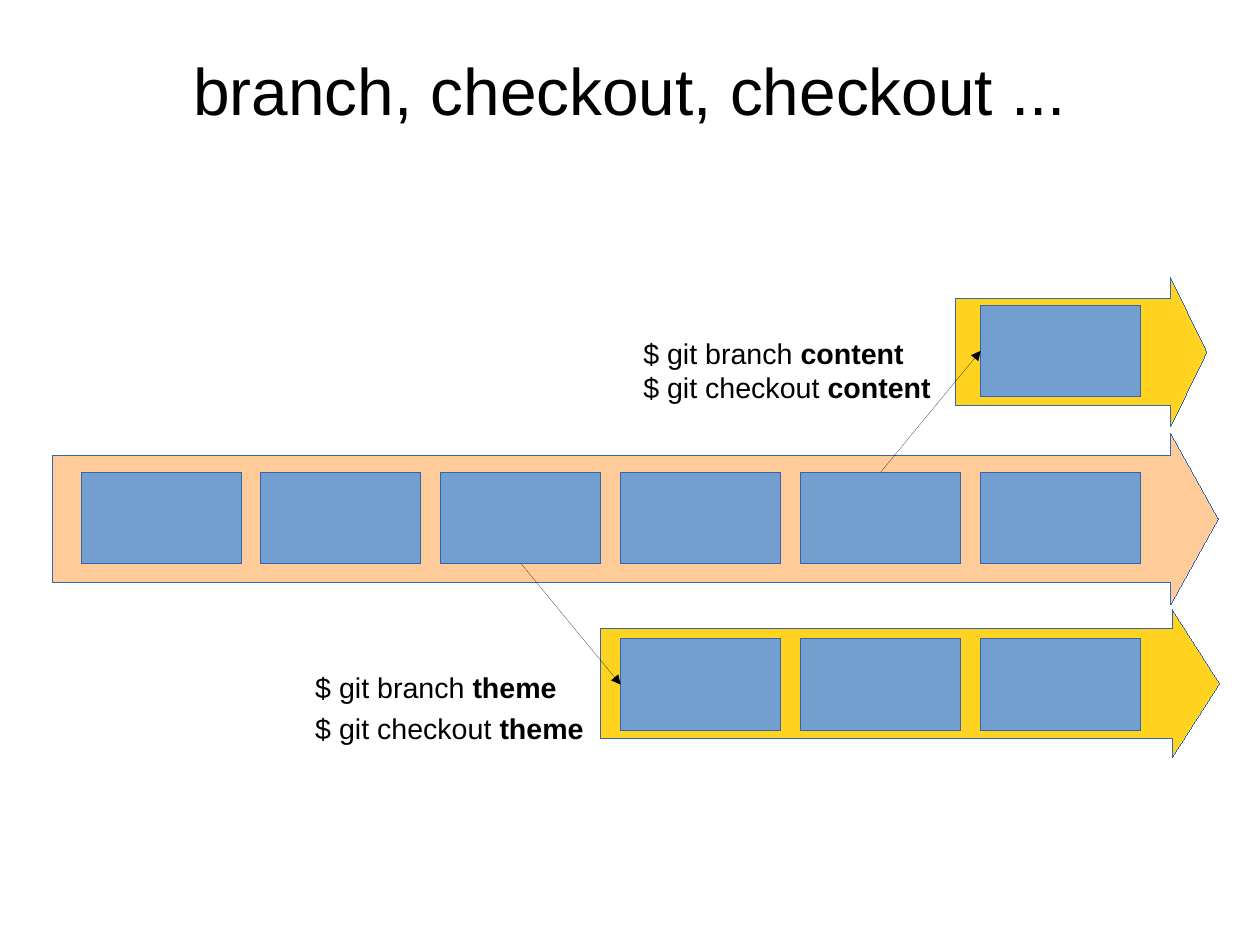
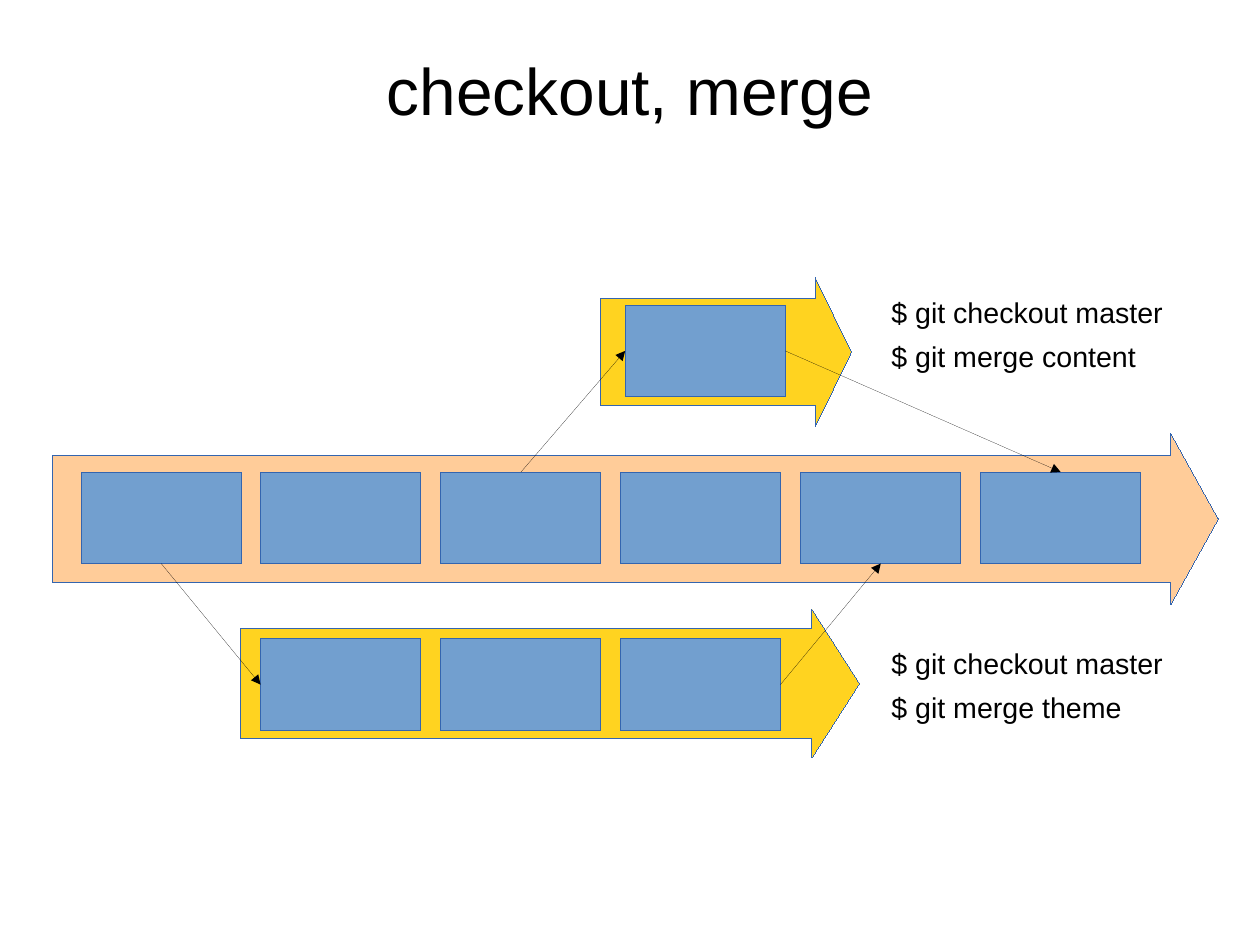
from dataclasses import dataclass

from lxml.etree import SubElement
from pptx import Presentation
from pptx.dml.color import RGBColor
from pptx.enum.shapes import MSO_CONNECTOR as Connector, MSO_SHAPE as Shape
from pptx.enum.text import MSO_ANCHOR as Anchor, PP_ALIGN as Align
from pptx.oxml.ns import qn
from pptx.util import Inches, Pt


@dataclass(frozen=True)
class Theme:
    font: str = "Arial"
    title_size: float = 41.4
    command_size: float = 18
    text: str = "000000"
    outline: str = "3465AF"
    commit: str = "729FCF"
    trunk: str = "FFCC99"
    branch: str = "FFD320"


@dataclass(frozen=True)
class Lane:
    """A branch arrow; inset_x and inset_y lead from its corner to the first commit."""
    top: float
    width: float
    height: float
    shaft: float
    head: float
    inset_x: float
    inset_y: float
    commits: int
    fill: str


THEME = Theme()
CM_PER_INCH = 2.54
SLIDE_W, SLIDE_H = 28 / CM_PER_INCH, 21 / CM_PER_INCH
TITLE_BOX = (0.55, 0.31, 9.92, 0.94)
COMMIT_W, COMMIT_H = 1.4, 0.8
FIRST_COMMIT, LAST_COMMIT, TRUNK_COMMITS = 0.71, 8.58, 6
COMMIT_PITCH = (LAST_COMMIT - FIRST_COMMIT) / (TRUNK_COMMITS - 1)
COMMAND_H = 0.38
TOP, LEFT, BOTTOM, RIGHT = range(4)  # connection sites of a rectangle

TRUNK_LEFT = 0.46
TRUNK = Lane(3.79, 10.2, 1.5, 0.744, 0.278, 0.25, 0.34, TRUNK_COMMITS, THEME.trunk)
THEME_LANE = Lane(5.33, 5.42, 1.3, 0.744, 0.32, 0.18, 0.26, 3, THEME.branch)
CONTENT_LANE = Lane(2.43, 2.2, 1.3, 0.723, 0.243, 0.22, 0.24, 1, THEME.branch)


def inches(*lengths):
    return [Inches(length) for length in lengths]


def draw_hairline(shape, color):
    """Colour the outline and write its zero width, which line.width leaves out."""
    shape.line.color.rgb = RGBColor.from_string(color)
    outline = shape._element.spPr.get_or_add_ln()
    outline.set("w", "0")
    return outline


def add_block(slide, preset, box, fill):
    block = slide.shapes.add_shape(preset, *inches(*box))
    block.shadow.inherit = False
    block.fill.solid()
    block.fill.fore_color.rgb = RGBColor.from_string(fill)
    draw_hairline(block, THEME.outline)
    return block


def add_lane(slide, lane, left):
    """Draw a branch arrow and return its commits, from left to right."""
    arrow = add_block(slide, Shape.RIGHT_ARROW,
                      (left, lane.top, lane.width, lane.height), lane.fill)
    arrow.adjustments[0] = lane.shaft
    arrow.adjustments[1] = lane.head
    return [add_block(slide, Shape.RECTANGLE,
                      (left + lane.inset_x + column * COMMIT_PITCH,
                       lane.top + lane.inset_y, COMMIT_W, COMMIT_H), THEME.commit)
            for column in range(lane.commits)]


def add_link(slide, source, source_site, target, target_site):
    link = slide.shapes.add_connector(Connector.STRAIGHT, 0, 0, 0, 0)
    link.begin_connect(source, source_site)
    link.end_connect(target, target_site)
    outline = draw_hairline(link, THEME.text)
    SubElement(outline, qn("a:tailEnd"), type="triangle")
    SubElement(link._element.spPr, qn("a:effectLst"))


def add_text(slide, box, runs, size, margins=(0.1, 0.05), anchor=Anchor.TOP,
             align=Align.LEFT):
    """Write one line of text; every run after the first is bold."""
    frame = slide.shapes.add_textbox(*inches(*box)).text_frame
    side, edge = inches(*margins)
    frame_format = {"word_wrap": True, "vertical_anchor": anchor,
                    "margin_left": side, "margin_right": side,
                    "margin_top": edge, "margin_bottom": edge}
    for attribute, value in frame_format.items():
        setattr(frame, attribute, value)
    line = frame.paragraphs[0]
    line.alignment = align
    for index, words in enumerate(runs):
        run = line.add_run()
        run.text = words
        font_format = {"name": THEME.font, "size": Pt(size), "bold": index > 0}
        for attribute, value in font_format.items():
            setattr(run.font, attribute, value)
        run.font.color.rgb = RGBColor.from_string(THEME.text)


def add_commands(slide, left, top, width, pitch, commands):
    for row, runs in enumerate(commands):
        add_text(slide, (left, top + row * pitch, width, COMMAND_H), runs,
                 THEME.command_size)


def add_branch_slide(deck, title, theme_left, content_left, theme_fork, content_fork):
    """Add the title, the three lanes and the links to both branches from their forks."""
    slide = deck.slides.add_slide(deck.slide_layouts[6])
    add_text(slide, TITLE_BOX, [title], THEME.title_size, (0, 0),
             Anchor.MIDDLE, Align.CENTER)
    theme = add_lane(slide, THEME_LANE, theme_left)
    content = add_lane(slide, CONTENT_LANE, content_left)
    trunk = add_lane(slide, TRUNK, TRUNK_LEFT)
    add_link(slide, trunk[theme_fork], BOTTOM, theme[0], LEFT)
    add_link(slide, trunk[content_fork], TOP, content[0], LEFT)
    return slide, trunk, theme, content


def add_checkout_slide(deck):
    slide, *_ = add_branch_slide(deck, "branch, checkout, checkout ...",
                                 5.25, 8.36, theme_fork=2, content_fork=4)
    for branch, box, pitch in (("theme", (2.66, 5.81, 2.6), 0.36),
                               ("content", (5.53, 2.89, 2.8), 0.3)):
        add_commands(slide, *box, pitch,
                     [(f"$ git {verb} ", branch) for verb in ("branch", "checkout")])


def add_merge_slide(deck):
    slide, trunk, theme, content = add_branch_slide(
        deck, "checkout, merge", 2.1, 5.25, theme_fork=0, content_fork=2)
    add_link(slide, theme[-1], RIGHT, trunk[4], BOTTOM)
    add_link(slide, content[-1], RIGHT, trunk[5], TOP)
    for branch, top in (("theme", 5.6), ("content", 2.53)):
        add_commands(slide, 7.7, top, 2.9, 0.39,
                     [("$ git checkout master",), (f"$ git merge {branch}",)])


def main():
    deck = Presentation()
    deck.slide_width, deck.slide_height = inches(SLIDE_W, SLIDE_H)
    add_checkout_slide(deck)
    add_merge_slide(deck)
    deck.save("out.pptx")


if __name__ == "__main__":
    main()
